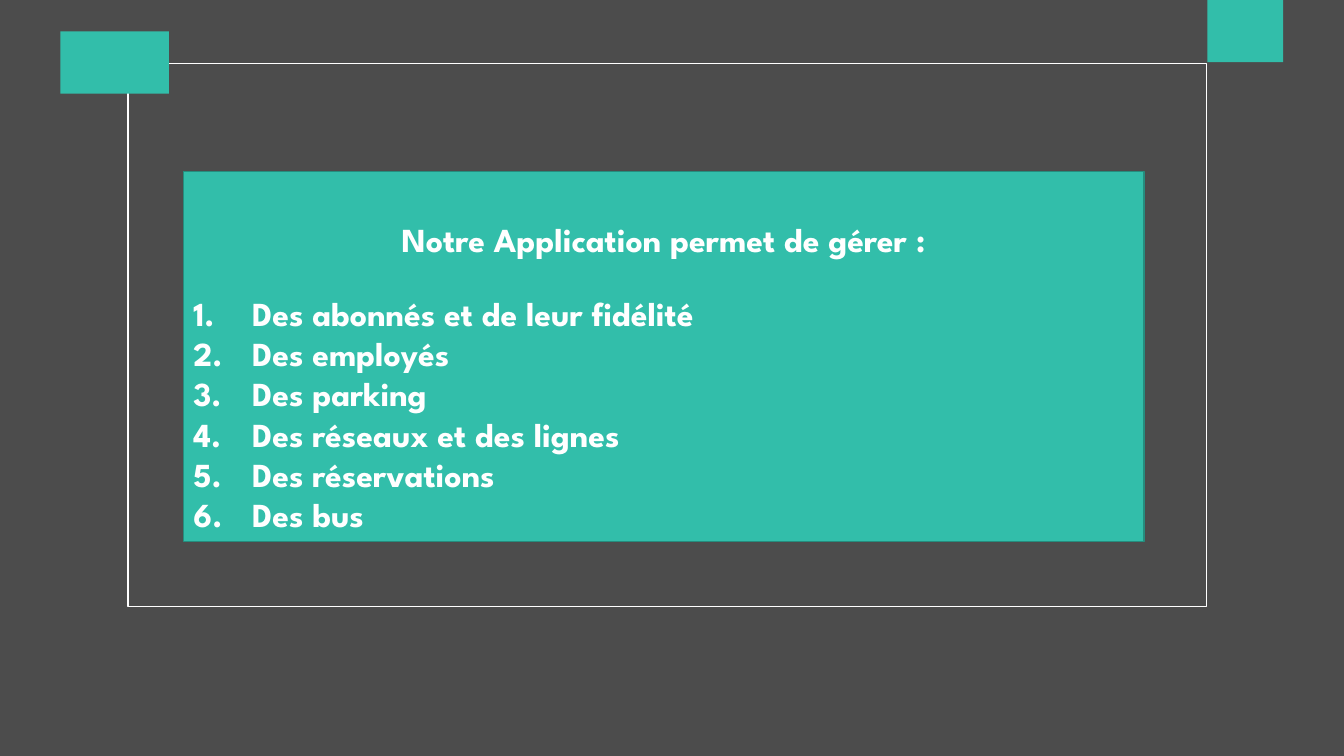
from dataclasses import dataclass

from lxml import etree
from pptx import Presentation
from pptx.dml.color import RGBColor
from pptx.enum.shapes import MSO_SHAPE
from pptx.enum.text import MSO_ANCHOR, MSO_AUTO_SIZE, PP_ALIGN
from pptx.oxml.ns import qn
from pptx.util import Cm, Pt

RECTANGLE = MSO_SHAPE.RECTANGLE
MIDDLE = MSO_ANCHOR.MIDDLE
NO_AUTOFIT = MSO_AUTO_SIZE.NONE
LEFT, CENTER = PP_ALIGN.LEFT, PP_ALIGN.CENTER
TITLE_AND_CONTENT = 1


@dataclass(frozen=True)
class Theme:
    font: str = "League Spartan"
    text_size: int = 24
    veil: str = "000000"
    veil_opacity: int = 70
    accent: str = "32BEAA"
    accent_edge: str = "258D7E"
    light: str = "FFFFFF"
    line_width: int = 1


THEME = Theme()
SLIDE_WIDTH, SLIDE_HEIGHT = 33.87, 19.05
PANEL_LEFT, PANEL_WIDTH = 4.62, 24.21
TAG_HEIGHT = 1.57
NUMBER_INDENT = 1.48

HEADING = "Notre Application permet de gérer :"
FEATURES = [
    "Des abonnés et de leur fidélité",
    "Des employés",
    "Des parking",
    "Des réseaux et des lignes",
    "Des réservations",
    "Des bus",
]


def add_rectangle(slide, left, top, width, height, fill=None, line=None, opacity=100):
    rectangle = slide.shapes.add_shape(
        RECTANGLE, Cm(left), Cm(top), Cm(width), Cm(height))
    rectangle.shadow.inherit = False
    if fill:
        rectangle.fill.solid()
        rectangle.fill.fore_color.rgb = RGBColor.from_string(fill)
    else:
        rectangle.fill.background()
    if line:
        rectangle.line.color.rgb = RGBColor.from_string(line)
        rectangle.line.width = Pt(THEME.line_width)
    else:
        rectangle.line.fill.background()
    if opacity < 100:
        color = rectangle.element.spPr.find(qn("a:solidFill"))[0]
        etree.SubElement(color, qn("a:alpha"), val=str(opacity * 1000))


def number_paragraph(paragraph):
    properties = paragraph._p.get_or_add_pPr()
    properties.set("marL", str(Cm(NUMBER_INDENT)))
    properties.set("indent", str(-Cm(NUMBER_INDENT)))
    etree.SubElement(properties, qn("a:buFont"), typeface="+mj-lt")
    etree.SubElement(properties, qn("a:buAutoNum"), type="arabicPeriod")


def write_text(placeholder, lines, *, top, height, align=LEFT, numbered=False):
    """Move a placeholder onto the panel, bring it to the front and fill it."""
    placeholder.left, placeholder.top = Cm(PANEL_LEFT), Cm(top)
    placeholder.width, placeholder.height = Cm(PANEL_WIDTH), Cm(height)
    placeholder.element.getparent().append(placeholder.element)

    frame = placeholder.text_frame
    frame.text = "\n".join(lines)
    frame.word_wrap = True
    frame.auto_size = NO_AUTOFIT
    frame.vertical_anchor = MIDDLE
    frame.margin_top = frame.margin_bottom = 0
    for paragraph in frame.paragraphs:
        paragraph.alignment = align
        paragraph.line_spacing = 1.0
        paragraph.space_before = paragraph.space_after = Pt(0)
        if numbered:
            number_paragraph(paragraph)
        for run in paragraph.runs:
            run.font.name = THEME.font
            run.font.size = Pt(THEME.text_size)
            run.font.bold = True
            run.font.color.rgb = RGBColor.from_string(THEME.light)


def main():
    presentation = Presentation()
    presentation.slide_width = Cm(SLIDE_WIDTH)
    presentation.slide_height = Cm(SLIDE_HEIGHT)
    slide = presentation.slides.add_slide(
        presentation.slide_layouts[TITLE_AND_CONTENT])
    heading, feature_list = slide.placeholders

    add_rectangle(slide, 0, 0, SLIDE_WIDTH, SLIDE_HEIGHT,
                  fill=THEME.veil, opacity=THEME.veil_opacity)
    add_rectangle(slide, 30.43, 0, 1.91, TAG_HEIGHT, fill=THEME.accent)
    add_rectangle(slide, PANEL_LEFT, 4.32, PANEL_WIDTH, 9.32,
                  fill=THEME.accent, line=THEME.accent_edge)
    add_rectangle(slide, 3.23, 1.6, 27.18, 13.69, line=THEME.light)
    add_rectangle(slide, 1.52, 0.79, 2.74, TAG_HEIGHT, fill=THEME.accent)

    write_text(heading, [HEADING], top=5.51, height=1.02, align=CENTER)
    write_text(feature_list, FEATURES, top=7.37, height=6.1, numbered=True)

    presentation.save("out.pptx")


if __name__ == "__main__":
    main()
